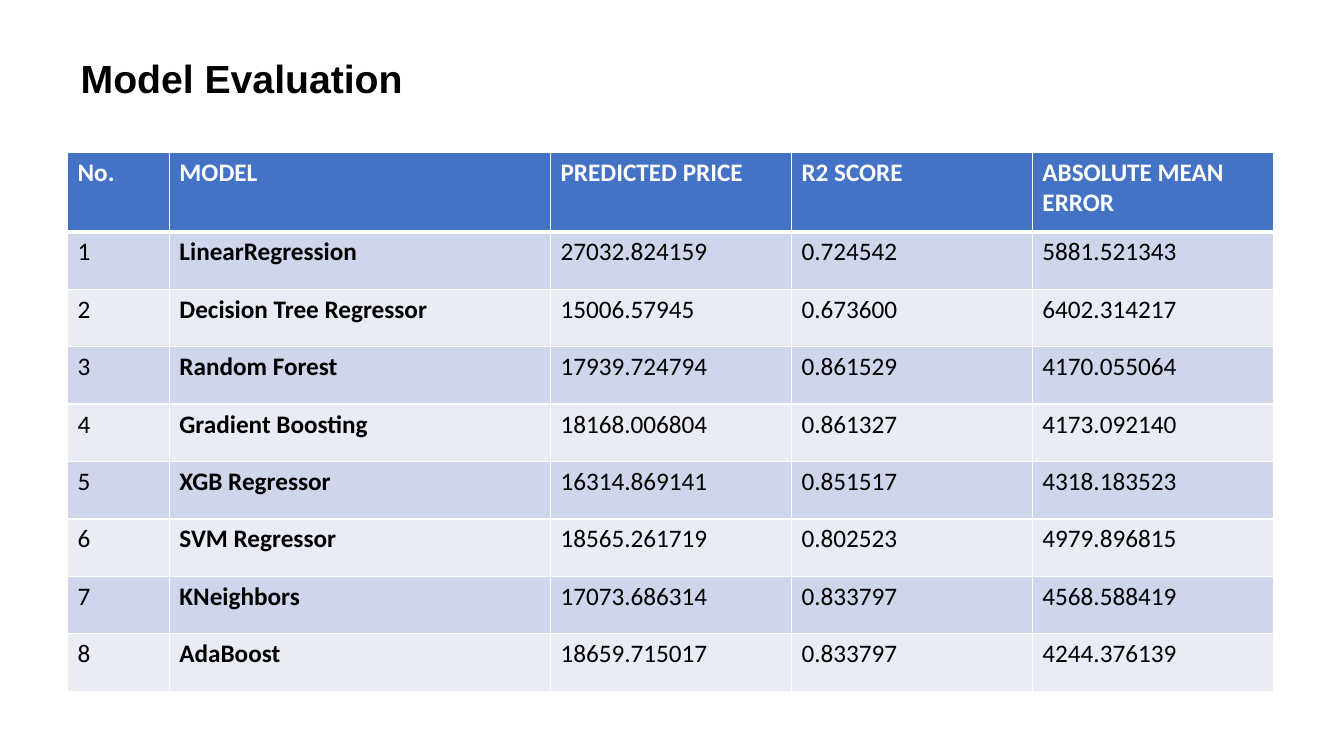
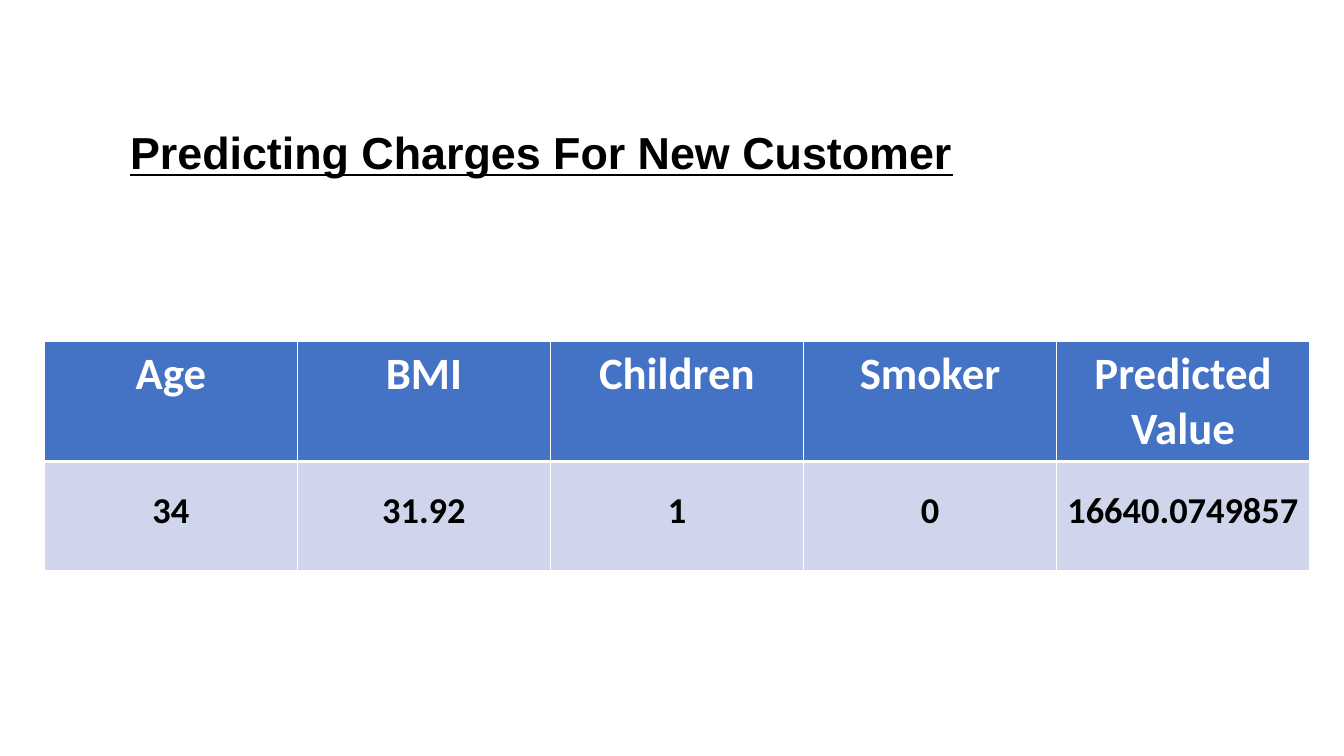
from dataclasses import dataclass

from lxml import etree
from pptx import Presentation
from pptx import util as u
from pptx.dml.color import RGBColor
from pptx.enum import text
from pptx.oxml import ns

PX = 9144  # EMU per px, 100 px to the inch


@dataclass(frozen=True)
class Theme:
    title_font: str = "Arial"
    table_font: str = "Calibri"
    ink: str = "000000"
    white: str = "FFFFFF"
    header: str = "4472C4"
    bands: tuple = ("CFD5EA", "E9EBF5")
    thin: int = 1
    thick: int = 3


THEME = Theme()


def style_text(frame, font, size, color, bold, align, spacing=1.0, underline=False):
    """Format every run of a text frame alike."""
    for para in frame.paragraphs:
        para.alignment = align
        para.line_spacing = spacing
        for span in para.runs:
            span.font.name = font
            span.font.size = u.Pt(size)
            span.font.color.rgb = RGBColor.from_string(color)
            span.font.bold = bold
            span.font.underline = underline


def set_borders(cell, top, bottom):
    """Draw white cell borders; widths are in points."""
    props = cell._tc.get_or_add_tcPr()
    widths = {"L": THEME.thin, "R": THEME.thin, "T": top, "B": bottom}
    for side, width in widths.items():
        line = etree.SubElement(props, ns.qn(f"a:ln{side}"), w=str(u.Pt(width)))
        fill = etree.SubElement(line, ns.qn("a:solidFill"))
        etree.SubElement(fill, ns.qn("a:srgbClr"), val=THEME.white)


# Content and layout of each page
LEFT, CENTER = text.PP_ALIGN.LEFT, text.PP_ALIGN.CENTER
pages = [
    dict(
        title="Model Evaluation", title_box=(70, 49, 455, 57),
        title_size=28, underline=False, wrap=True,
        origin=(67, 151), columns=[101, 378, 239, 239, 239],
        header_height=79, row_height=57,
        header_size=18, body_size=18, align=LEFT, spacing=1.0, bold_columns={1},
        rows=[
            ("No.", "MODEL", "PREDICTED PRICE", "R2 SCORE", "ABSOLUTE MEAN ERROR"),
            ("1", "LinearRegression", "27032.824159", "0.724542", "5881.521343"),
            ("2", "Decision Tree Regressor", "15006.57945", "0.673600", "6402.314217"),
            ("3", "Random Forest", "17939.724794", "0.861529", "4170.055064"),
            ("4", "Gradient Boosting", "18168.006804", "0.861327", "4173.092140"),
            ("5", "XGB Regressor", "16314.869141", "0.851517", "4318.183523"),
            ("6", "SVM Regressor", "18565.261719", "0.802523", "4979.896815"),
            ("7", "KNeighbors", "17073.686314", "0.833797", "4568.588419"),
            ("8", "AdaBoost", "18659.715017", "0.833797", "4244.376139"),
        ],
    ),
    dict(
        title="Predicting Charges For New Customer", title_box=(119, 119, 842, 118),
        title_size=32, underline=True, wrap=False,
        origin=(44, 339), columns=[251] * 5,
        header_height=108, row_height=108,
        header_size=32, body_size=26, align=CENTER, spacing=1.5,
        bold_columns=set(range(5)),
        rows=[
            ("Age", "BMI", "Children", "Smoker", "Predicted Value"),
            ("34", "31.92", "1", "0", "16640.0749857"),
        ],
    ),
]

deck = Presentation()
deck.slide_width, deck.slide_height = 1333 * PX, 750 * PX
title_only = deck.slide_layouts[5]

for content in pages:
    page = deck.slides.add_slide(title_only)

    # Title
    title = page.shapes.title
    title.left, title.top, title.width, title.height = (
        length * PX for length in content["title_box"])
    frame = title.text_frame
    frame.text = content["title"]
    frame.word_wrap = content["wrap"]
    frame.auto_size = text.MSO_AUTO_SIZE.NONE
    frame.vertical_anchor = text.MSO_ANCHOR.TOP
    style_text(frame, THEME.title_font, content["title_size"], THEME.ink, True,
               LEFT, underline=content["underline"])

    # Table grid
    rows, columns = content["rows"], content["columns"]
    heights = [content["header_height"]] + [content["row_height"]] * (len(rows) - 1)
    left, top = content["origin"]
    table = page.shapes.add_table(
        len(rows), len(columns), left * PX, top * PX,
        sum(columns) * PX, sum(heights) * PX).table
    for column, width in zip(table.columns, columns):
        column.width = width * PX
    for row, height in zip(table.rows, heights):
        row.height = height * PX

    # Table cells
    for r, values in enumerate(rows):
        is_header = r == 0
        fill = THEME.header if is_header else THEME.bands[(r - 1) % 2]
        color = THEME.white if is_header else THEME.ink
        size = content["header_size"] if is_header else content["body_size"]
        spacing = 1.0 if is_header else content["spacing"]
        for c, value in enumerate(values):
            cell = table.cell(r, c)
            set_borders(cell,
                        top=THEME.thick if r == 1 else THEME.thin,
                        bottom=THEME.thick if is_header else THEME.thin)
            cell.fill.solid()
            cell.fill.fore_color.rgb = RGBColor.from_string(fill)
            cell.text_frame.text = value
            style_text(cell.text_frame, THEME.table_font, size, color,
                       is_header or c in content["bold_columns"],
                       content["align"], spacing)

deck.save("out.pptx")
